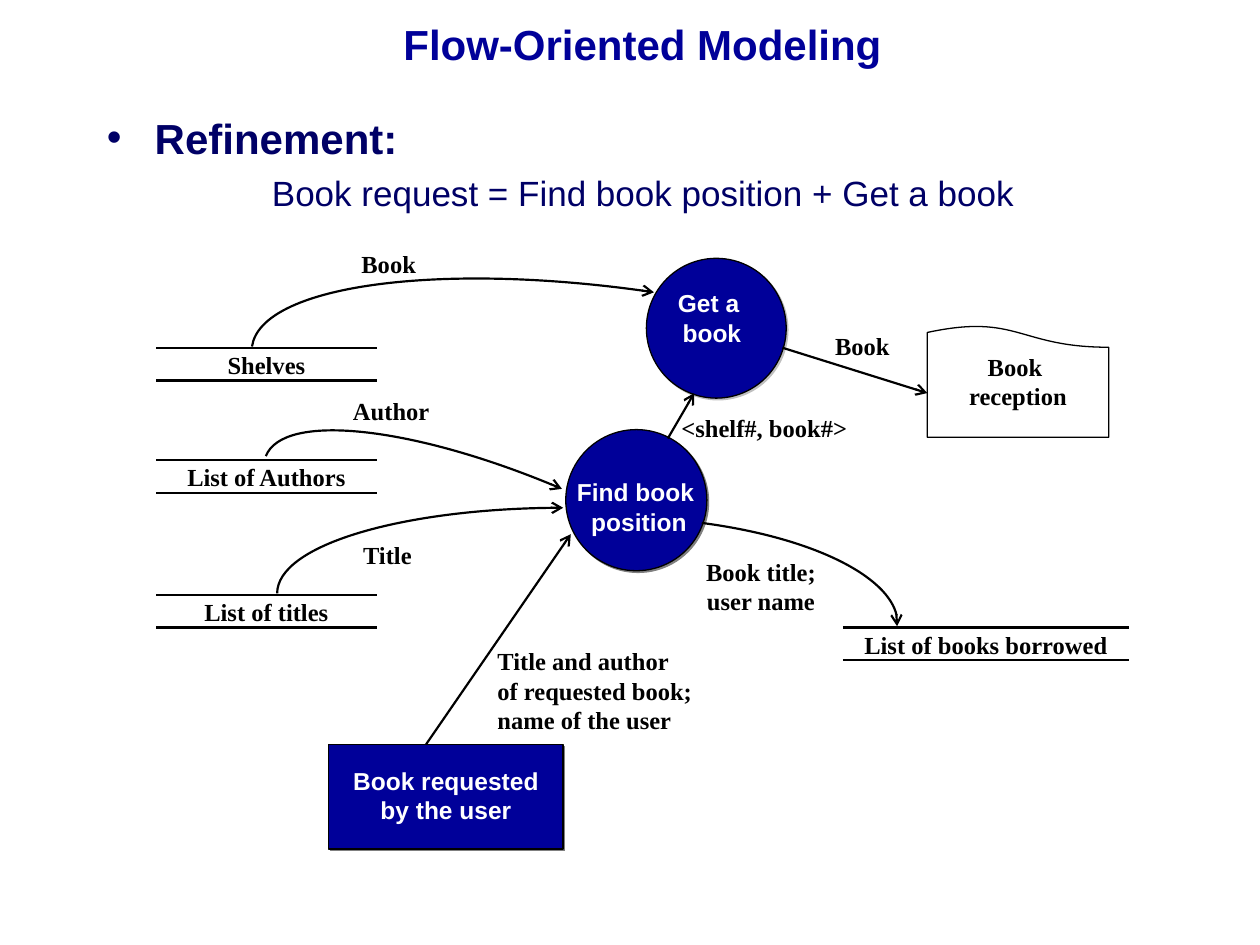
from typing import NamedTuple

from lxml.etree import SubElement as Sub
from pptx import Presentation
from pptx.dml.color import RGBColor
from pptx.enum.shapes import MSO_CONNECTOR as Link, MSO_SHAPE as Kind
from pptx.enum.text import MSO_ANCHOR as Anchor, PP_ALIGN as Align
from pptx.oxml.ns import qn
from pptx.util import Inches, Pt

BLACK = RGBColor(0x00, 0x00, 0x00)
WHITE = RGBColor(0xFF, 0xFF, 0xFF)
BLUE = RGBColor(0x00, 0x00, 0x99)
NAVY = RGBColor(0x00, 0x00, 0x66)

SERIF = {"name": "Times New Roman", "size": Pt(14), "bold": True}
SANS = {"name": "Arial", "size": Pt(14), "bold": True}
HEAD = {**SANS, "size": Pt(24)}
PLAIN = {"name": "Arial", "size": Pt(20), "bold": False}

Point = tuple[float, float]


class Box(NamedTuple):
    x: float
    y: float
    w: float
    h: float


class Label(NamedTuple):
    box: Box
    text: str
    font: dict = SERIF
    color: RGBColor = BLACK
    align: Align = Align.CENTER


class Store(NamedTuple):
    x: float
    y: float
    w: float
    name: str


class Node(NamedTuple):
    kind: Kind
    box: Box
    alpha: int


class Flow(NamedTuple):
    """Two points make a straight flow, four a Bezier curve."""
    points: tuple[Point, ...]


LABELS = [
    Label(Box(5.09, 2.16, 1.12, 0.94), "Get a \nbook", SANS, WHITE),
    Label(Box(4.31, 3.66, 1.47, 0.73), "Find book\n position", SANS, WHITE),
    Label(Box(7.36, 2.66, 1.44, 0.89), "Book \nreception"),
    Label(Box(2.57, 1.85, 1.03, 0.53), "Book"),
    Label(Box(2.59, 3.01, 1.03, 0.53), "Author"),
    Label(Box(2.56, 4.16, 1.03, 0.53), "Title"),
    Label(Box(6.33, 2.5, 1.03, 0.53), "Book"),
    Label(Box(5.32, 4.29, 1.44, 0.72), "Book title;\nuser name"),
    Label(Box(5.31, 3.15, 1.98, 0.54), "<shelf#, book#>", align=Align.LEFT),
    Label(Box(3.85, 5, 2.27, 1.07),
          "Title and author\nof requested book;\nname of the user",
          align=Align.JUSTIFY),
]
STORES = [
    Store(1.24, 2.76, 1.75, "Shelves"),
    Store(1.24, 3.65, 1.75, "List of Authors"),
    Store(1.24, 4.72, 1.75, "List of titles"),
    Store(6.69, 4.98, 2.27, "List of books borrowed"),
]
FIND = Node(Kind.OVAL, Box(4.49, 3.41, 1.12, 1.12), 100)
GET = Node(Kind.OVAL, Box(5.13, 2.05, 1.11, 1.11), 50)
USER = Node(Kind.RECTANGLE, Box(2.61, 5.91, 1.86, 0.83), 100)
FLOWS = [
    Flow(((2, 2.75), (2.07, 2.27), (3.5, 2.07), (5.19, 2.32))),
    Flow(((2.11, 3.62), (2.25, 3.27), (3.31, 3.39), (4.46, 3.88))),
    Flow(((2.2, 4.71), (2.2, 4.33), (3.22, 4.03), (4.47, 4.03))),
    Flow(((5.57, 4.15), (6.47, 4.27), (7.17, 4.64), (7.12, 4.97))),
    Flow(((6.21, 2.76), (7.36, 3.12))),
    Flow(((5.3, 3.48), (5.51, 3.12))),
    Flow(((3.38, 5.91), (4.53, 4.24))),
]


def place(box: Box | Point) -> list:
    return [Inches(v) for v in box]


def write(para, text: str, font: dict, color: RGBColor) -> None:
    run = para.add_run()
    run.text = text
    for key, value in font.items():
        setattr(run.font, key, value)
    run.font.color.rgb = color


def fill_text(frame, label: Label, top: float) -> None:
    form = {"word_wrap": True, "vertical_anchor": Anchor.TOP,
            "margin_left": Inches(0.1), "margin_right": Inches(0.1),
            "margin_top": Inches(top), "margin_bottom": Inches(0.05)}
    for key, value in form.items():
        setattr(frame, key, value)
    for i, line in enumerate(label.text.split("\n")):
        para = frame.add_paragraph() if i else frame.paragraphs[0]
        para.alignment = label.align
        write(para, line, label.font, label.color)


def add_label(shapes, label: Label, top: float = 0.13):
    frame = shapes.add_textbox(*place(label.box)).text_frame
    fill_text(frame, label, top)
    return frame


def add_node(shapes, node: Node):
    shape = shapes.add_shape(node.kind, *place(node.box))
    shape.fill.solid()
    shape.fill.fore_color.rgb = BLUE
    shape.line.color.rgb = BLACK
    shape.line.width = Pt(0.75)
    # Grey shadow, cast down and right
    shape.shadow.inherit = False
    effect = shape._element.spPr.find(qn("a:effectLst"))
    cast = Sub(effect, qn("a:outerShdw"), dist=str(Pt(1.4)), dir="2700000")
    tint = Sub(cast, qn("a:srgbClr"), val="808080")
    Sub(tint, qn("a:alpha"), val=str(node.alpha * 1000))
    return shape


def add_line(shapes, start: Point, end: Point):
    line = shapes.add_connector(Link.STRAIGHT, *place(start + end))
    line.line.color.rgb = BLACK
    line.line.width = Pt(1.25)
    Sub(line._element.spPr, qn("a:effectLst"))
    return line


def add_curve(shapes, points: tuple[Point, ...]):
    first, *rest = [place(point) for point in points]
    pen = shapes.build_freeform(*first)
    pen.add_line_segments(rest, close=False)
    curve = pen.convert_to_shape()
    # Turn the three segments into one Bezier
    trace = curve._element.find(".//" + qn("a:path"))
    trace.set("fill", "none")
    bend = Sub(trace, qn("a:cubicBezTo"))
    for leg in trace.findall(qn("a:lnTo")):
        bend.append(leg[0])
        trace.remove(leg)
    curve.fill.background()
    curve.line.color.rgb = BLACK
    curve.line.width = Pt(1.25)
    curve.shadow.inherit = False
    return curve


def add_flow(shapes, flow: Flow) -> None:
    if len(flow.points) == 2:
        shape = add_line(shapes, *flow.points)
    else:
        shape = add_curve(shapes, flow.points)
    Sub(shape.line._get_or_add_ln(), qn("a:tailEnd"), type="arrow")


def add_store(shapes, store: Store) -> None:
    x, y, w, name = store
    for level in (y, y + 0.26):
        add_line(shapes, (x, level), (x + w, level))
    add_label(shapes, Label(Box(x - 0.06, y - 0.11, w + 0.12, 0.54), name))


def add_body(shapes) -> None:
    frame = add_label(shapes, Label(Box(0.75, 0.84, 8.53, 1.26), "Refinement:",
                                    HEAD, NAVY, Align.LEFT), 0.05)
    lead, rule = frame.paragraphs[0], frame.add_paragraph()
    lead.space_before, rule.space_before = Pt(6), Pt(5)
    props = lead._p.get_or_add_pPr()
    props.set("marL", str(Inches(0.38)))
    props.set("indent", str(Inches(-0.38)))
    Sub(props, qn("a:buFont"), typeface="Arial")
    Sub(props, qn("a:buChar"), char="•")
    rule._p.get_or_add_pPr().set("marL", str(Inches(1.31)))
    write(rule, "Book request = Find book position + Get a book", PLAIN, NAVY)


def main() -> None:
    deck = Presentation()
    deck.slide_width, deck.slide_height = Inches(10), Inches(7.5)
    shapes = deck.slides.add_slide(deck.slide_layouts[6]).shapes

    # Heading and rule
    add_body(shapes)
    title = Label(Box(1.85, -0.03, 6.5, 0.76), "Flow-Oriented Modeling", HEAD, BLUE)
    add_label(shapes, title, 0.05).vertical_anchor = Anchor.MIDDLE

    # Processes, user and reception
    for node in (FIND, GET):
        add_node(shapes, node)
    user = Label(USER.box, "Book requested\nby the user", SANS, WHITE)
    fill_text(add_node(shapes, USER).text_frame, user, 0.17)
    sheet = shapes.add_shape(Kind.FLOWCHART_DOCUMENT, *place(Box(7.36, 2.58, 1.44, 0.89)))
    sheet._element.spPr.xfrm.set("flipV", "1")
    sheet.fill.background()
    sheet.line.color.rgb = BLACK
    sheet.line.width = Pt(0.75)
    sheet.shadow.inherit = False

    # Stores, flows and labels
    for draw, items in ((add_store, STORES), (add_flow, FLOWS), (add_label, LABELS)):
        for item in items:
            draw(shapes, item)
    deck.save("out.pptx")


if __name__ == "__main__":
    main()
